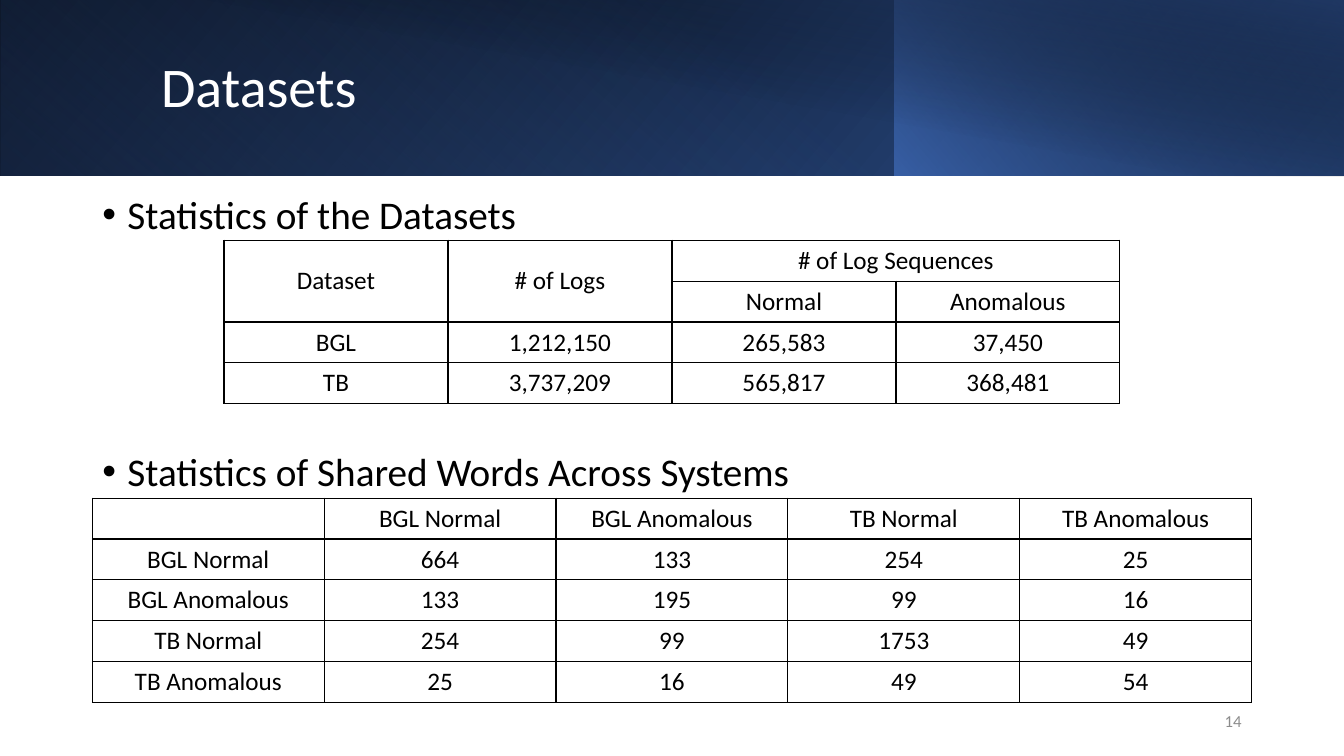
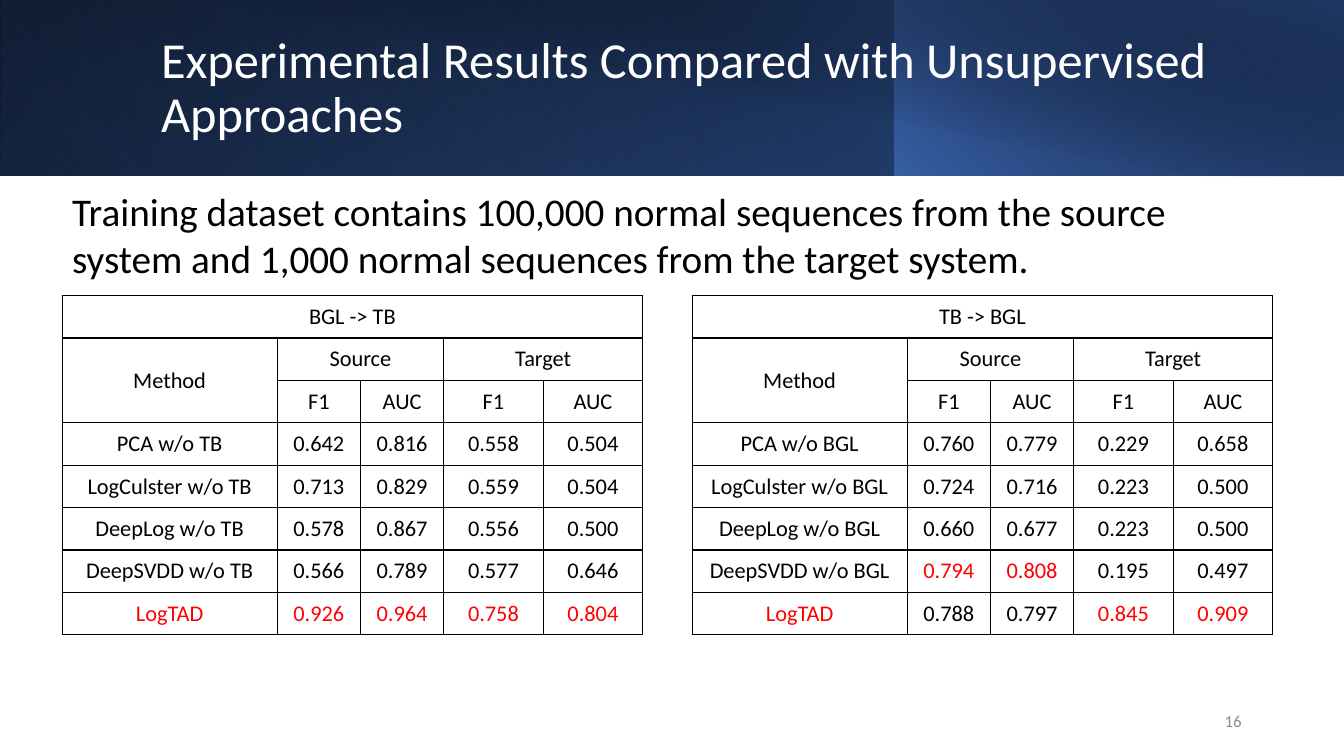
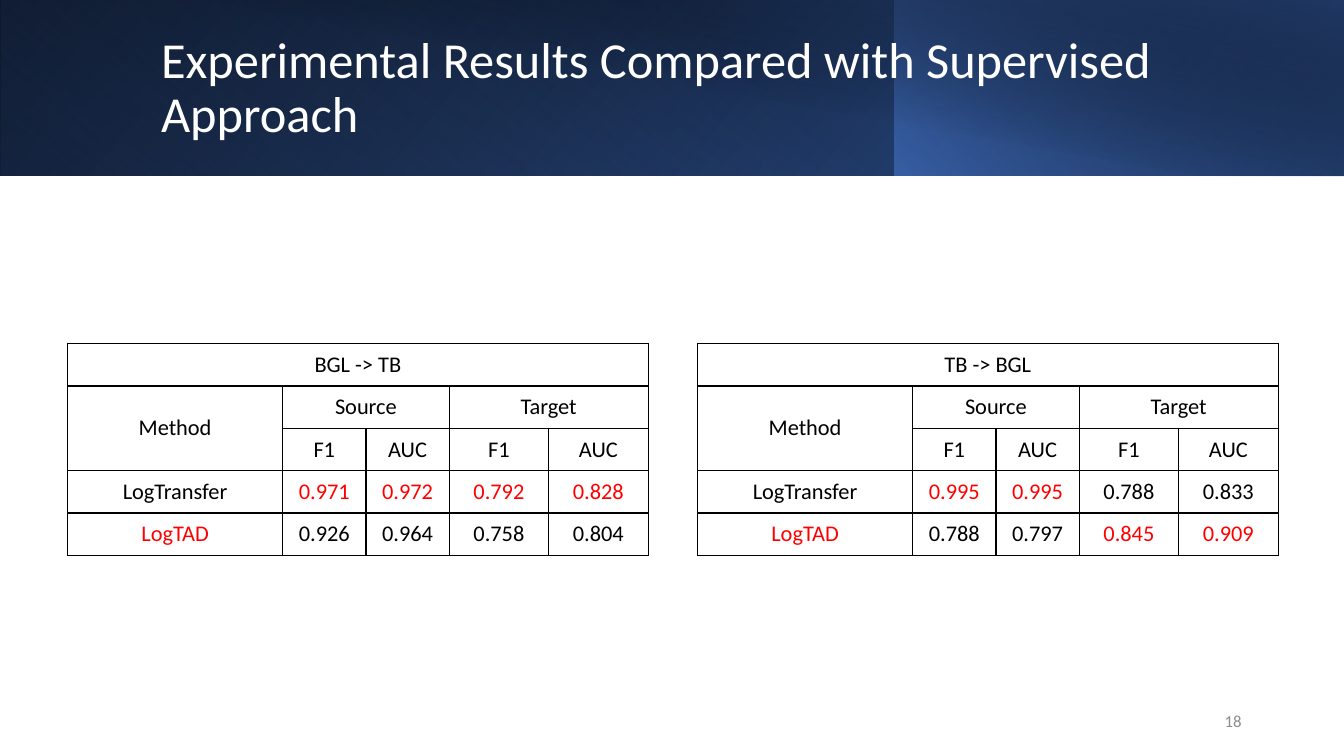
from dataclasses import dataclass
from typing import Optional

from lxml.etree import SubElement
from pptx import Presentation
from pptx.dml.color import RGBColor
from pptx.enum.shapes import MSO_SHAPE
from pptx.enum.text import MSO_ANCHOR, PP_ALIGN
from pptx.oxml.ns import qn
from pptx.presentation import Presentation as Deck
from pptx.slide import Slide
from pptx.table import _Cell as TableCell
from pptx.text.text import _Paragraph as Paragraph
from pptx.util import Inches, Length, Pt

# The slide is a grid of square units, twelve to the inch.
GRID_COLUMNS = 160
GRID_ROWS = 90


def units(count: float) -> Length:
    return Inches(count / 12)


@dataclass(frozen=True)
class Theme:
    font: str = "Calibri"
    text: str = "000000"
    best: str = "FF0000"
    title: str = "FFFFFF"
    page: str = "8C8C8C"
    black: str = "000000"
    navy: str = "203864"
    blue: str = "2F5597"
    bright: str = "4472C4"
    title_size: int = 40
    long_title_size: int = 36
    body_size: int = 28
    statistics_size: int = 18
    results_size: int = 16
    page_size: int = 12
    border: int = 1


THEME = Theme()


@dataclass(frozen=True)
class Box:
    """A place on the grid."""
    left: float
    top: float
    width: float
    height: float


@dataclass(frozen=True)
class Stop:
    position: float
    color: str
    opacity: int = 100


@dataclass(frozen=True)
class Band:
    """A header layer; the angle runs clockwise."""
    box: Box
    start: Stop
    end: Stop
    angle: int
    flipped: bool = True
    rotation: int = 0


@dataclass(frozen=True)
class Span:
    row: int
    column: int
    last_row: int
    last_column: int


@dataclass(frozen=True)
class Grid:
    left: float
    top: float
    column_widths: tuple[float, ...]
    row_height: float
    rows: tuple[tuple[str, ...], ...]
    size: int
    spans: tuple[Span, ...] = ()
    best_cells: frozenset[tuple[int, int]] = frozenset()


@dataclass(frozen=True)
class Result:
    """Scores of one method; best lists the highlighted columns."""
    method: str
    scores: str
    best: tuple[int, ...] = ()


@dataclass(frozen=True)
class Transfer:
    direction: str
    results: tuple[Result, ...]


HEADER = (
    Band(Box(0, 0, GRID_COLUMNS, 20.9), Stop(0, THEME.black), Stop(1, THEME.blue), 140),
    Band(Box(0, 0, 106.5, 20.9), Stop(0.2, THEME.bright, 0), Stop(1, THEME.navy, 55),
         230, rotation=180),
    Band(Box(106.5, 0, 53.5, 20.9), Stop(0, THEME.bright, 66), Stop(1, THEME.black, 30), 220),
    Band(Box(6, 0, 154, 21), Stop(0.5, THEME.black, 0), Stop(0.99, THEME.navy, 52),
         280, flipped=False),
)
TITLE_BOX = Box(18, 3.8, 129.8, 13.6)
BODY_BOX = Box(11, 22.7, 138, 57)
INTRO_BOX = Box(7.4, 21.7, 144.1, 12.5)
PAGE_BOX = Box(113, 83.4, 36, 4.8)

STATISTICS_ROW = 4.87
DATASET_COLUMN = GRID_COLUMNS / 6
DATASETS = Grid(
    DATASET_COLUMN, 28.6, (DATASET_COLUMN,) * 4, STATISTICS_ROW,
    (
        ("Dataset", "# of Logs", "# of Log Sequences", ""),
        ("", "", "Normal", "Anomalous"),
        ("BGL", "1,212,150", "265,583", "37,450"),
        ("TB", "3,737,209", "565,817", "368,481"),
    ),
    THEME.statistics_size,
    (Span(0, 0, 1, 0), Span(0, 1, 1, 1), Span(0, 2, 0, 3)),
)
SHARED_WORDS = Grid(
    BODY_BOX.left, 59.3, (BODY_BOX.width / 5,) * 5, STATISTICS_ROW,
    (
        ("", "BGL Normal", "BGL Anomalous", "TB Normal", "TB Anomalous"),
        ("BGL Normal", "664", "133", "254", "25"),
        ("BGL Anomalous", "133", "195", "99", "16"),
        ("TB Normal", "254", "99", "1753", "49"),
        ("TB Anomalous", "25", "16", "49", "54"),
    ),
    THEME.statistics_size,
)

RESULT_COLUMNS = (25.6, 9.92, 9.92, 11.84, 11.84)
RESULT_ROW = 5.05
RESULT_STEP = 75
RESULT_HEADINGS = (
    ("Method", "Source", "", "Target", ""),
    ("", "F1", "AUC", "F1", "AUC"),
)
RESULT_SPANS = (Span(0, 0, 0, 4), Span(1, 0, 2, 0), Span(1, 1, 1, 2), Span(1, 3, 1, 4))

UNSUPERVISED = (
    Transfer("BGL -> TB", (
        Result("PCA w/o TB", "0.642 0.816 0.558 0.504"),
        Result("LogCulster w/o TB", "0.713 0.829 0.559 0.504"),
        Result("DeepLog w/o TB", "0.578 0.867 0.556 0.500"),
        Result("DeepSVDD w/o TB", "0.566 0.789 0.577 0.646"),
        Result("LogTAD", "0.926 0.964 0.758 0.804", (0, 1, 2, 3, 4)),
    )),
    Transfer("TB -> BGL", (
        Result("PCA w/o BGL", "0.760 0.779 0.229 0.658"),
        Result("LogCulster w/o BGL", "0.724 0.716 0.223 0.500"),
        Result("DeepLog w/o BGL", "0.660 0.677 0.223 0.500"),
        Result("DeepSVDD w/o BGL", "0.794 0.808 0.195 0.497", (1, 2)),
        Result("LogTAD", "0.788 0.797 0.845 0.909", (0, 3, 4)),
    )),
)
SUPERVISED = (
    Transfer("BGL -> TB", (
        Result("LogTransfer", "0.971 0.972 0.792 0.828", (1, 2, 3, 4)),
        Result("LogTAD", "0.926 0.964 0.758 0.804", (0,)),
    )),
    Transfer("TB -> BGL", (
        Result("LogTransfer", "0.995 0.995 0.788 0.833", (1, 2)),
        Result("LogTAD", "0.788 0.797 0.845 0.909", (0, 3, 4)),
    )),
)


def place(box: Box) -> tuple[Length, ...]:
    return tuple(units(side) for side in (box.left, box.top, box.width, box.height))


def style_runs(paragraph: Paragraph, size: int, color: str) -> None:
    for run in paragraph.runs:
        run.font.name = THEME.font
        run.font.size = Pt(size)
        run.font.color.rgb = RGBColor.from_string(color)


def add_text(slide: Slide, box: Box, text: str, size: int, color: str,
             anchor: MSO_ANCHOR = MSO_ANCHOR.TOP, align: PP_ALIGN = PP_ALIGN.LEFT,
             line_spacing: Optional[float] = None) -> list[Paragraph]:
    frame = slide.shapes.add_textbox(*place(box)).text_frame
    frame.word_wrap = True
    frame.vertical_anchor = anchor
    frame.text = text
    for paragraph in frame.paragraphs:
        paragraph.alignment = align
        paragraph.line_spacing = line_spacing
        style_runs(paragraph, size, color)
    return list(frame.paragraphs)


def add_band(slide: Slide, band: Band) -> None:
    shape = slide.shapes.add_shape(MSO_SHAPE.RECTANGLE, *place(band.box))
    shape.shadow.inherit = False
    shape.line.fill.background()
    shape.rotation = band.rotation
    properties = shape.element.spPr
    if band.flipped:
        properties.find(qn("a:xfrm")).set("flipH", "1")
    shape.fill.gradient()
    shape.fill.gradient_angle = 360 - band.angle
    for target, stop in zip(shape.fill.gradient_stops, (band.start, band.end)):
        target.position = stop.position
        target.color.rgb = RGBColor.from_string(stop.color)
    colors = properties.find(qn("a:gradFill")).iter(qn("a:srgbClr"))
    for color, stop in zip(list(colors), (band.start, band.end)):
        if stop.opacity < 100:
            SubElement(color, qn("a:alpha"), val=str(stop.opacity * 1000))


def add_borders(cell: TableCell) -> None:
    properties = cell._tc.get_or_add_tcPr()
    for side in ("lnL", "lnR", "lnT", "lnB"):
        line = SubElement(properties, qn(f"a:{side}"), w=str(Pt(THEME.border)))
        fill = SubElement(line, qn("a:solidFill"))
        SubElement(fill, qn("a:srgbClr"), val=THEME.text)


def add_grid(slide: Slide, grid: Grid) -> None:
    box = Box(grid.left, grid.top, sum(grid.column_widths), grid.row_height * len(grid.rows))
    table = slide.shapes.add_table(len(grid.rows), len(grid.column_widths), *place(box)).table
    table.first_row = table.horz_banding = False
    for column, width in zip(table.columns, grid.column_widths):
        column.width = units(width)
    for row_index, texts in enumerate(grid.rows):
        table.rows[row_index].height = units(grid.row_height)
        for column_index, text in enumerate(texts):
            cell = table.cell(row_index, column_index)
            add_borders(cell)
            cell.fill.background()
            cell.vertical_anchor = MSO_ANCHOR.MIDDLE
            paragraph = cell.text_frame.paragraphs[0]
            paragraph.alignment = PP_ALIGN.CENTER
            if text:
                paragraph.text = text
                is_best = (row_index, column_index) in grid.best_cells
                style_runs(paragraph, grid.size, THEME.best if is_best else THEME.text)
    for span in grid.spans:
        table.cell(span.row, span.column).merge(table.cell(span.last_row, span.last_column))


def add_results(slide: Slide, left: float, top: float, transfers: tuple[Transfer, ...]) -> None:
    """Draw one results table per transfer direction, side by side."""
    for index, transfer in enumerate(transfers):
        headings = ((transfer.direction, "", "", "", ""),) + RESULT_HEADINGS
        scores = tuple((result.method, *result.scores.split()) for result in transfer.results)
        best_cells = frozenset(
            (row, column)
            for row, result in enumerate(transfer.results, len(headings))
            for column in result.best
        )
        add_grid(slide, Grid(left + index * RESULT_STEP, top, RESULT_COLUMNS, RESULT_ROW,
                             headings + scores, THEME.results_size, RESULT_SPANS, best_cells))


def add_bullets(slide: Slide, headings: tuple[str, ...], gaps: tuple[int, ...]) -> None:
    """Write bulleted headings, each with its own space above in points."""
    paragraphs = add_text(slide, BODY_BOX, "\n".join(headings), THEME.body_size, THEME.text,
                          line_spacing=0.9)
    for paragraph, gap in zip(paragraphs, gaps):
        paragraph.space_before = Pt(gap)
        properties = paragraph._p.get_or_add_pPr()
        properties.set("marL", str(units(3)))
        properties.set("indent", str(-units(3)))
        SubElement(properties, qn("a:buFont"), typeface="Arial")
        SubElement(properties, qn("a:buChar"), char="•")


def add_page(deck: Deck, title: str, title_size: int, number: int) -> Slide:
    """Start a slide with its header bands, title and page number."""
    slide = deck.slides.add_slide(deck.slide_layouts[6])
    for band in HEADER:
        add_band(slide, band)
    add_text(slide, TITLE_BOX, title, title_size, THEME.title, MSO_ANCHOR.MIDDLE,
             line_spacing=0.9)
    add_text(slide, PAGE_BOX, str(number), THEME.page_size, THEME.page, MSO_ANCHOR.MIDDLE,
             PP_ALIGN.RIGHT)
    return slide


def main() -> None:
    deck = Presentation()
    deck.slide_width = units(GRID_COLUMNS)
    deck.slide_height = units(GRID_ROWS)

    datasets = add_page(deck, "Datasets", THEME.title_size, 14)
    add_bullets(datasets, ("Statistics of the Datasets",
                           "Statistics of Shared Words Across Systems"), (10, 153))
    add_grid(datasets, DATASETS)
    add_grid(datasets, SHARED_WORDS)

    unsupervised = add_page(
        deck, "Experimental Results Compared with Unsupervised Approaches",
        THEME.long_title_size, 16)
    add_results(unsupervised, INTRO_BOX.left, 35.2, UNSUPERVISED)
    add_text(unsupervised, INTRO_BOX,
             "Training dataset contains 100,000 normal sequences from the source system "
             "and 1,000 normal sequences from the target system.",
             THEME.body_size, THEME.text)

    supervised = add_page(
        deck, "Experimental Results Compared with Supervised Approach",
        THEME.long_title_size, 18)
    add_results(supervised, 8.05, 40.9, SUPERVISED)

    deck.save("out.pptx")


if __name__ == "__main__":
    main()
